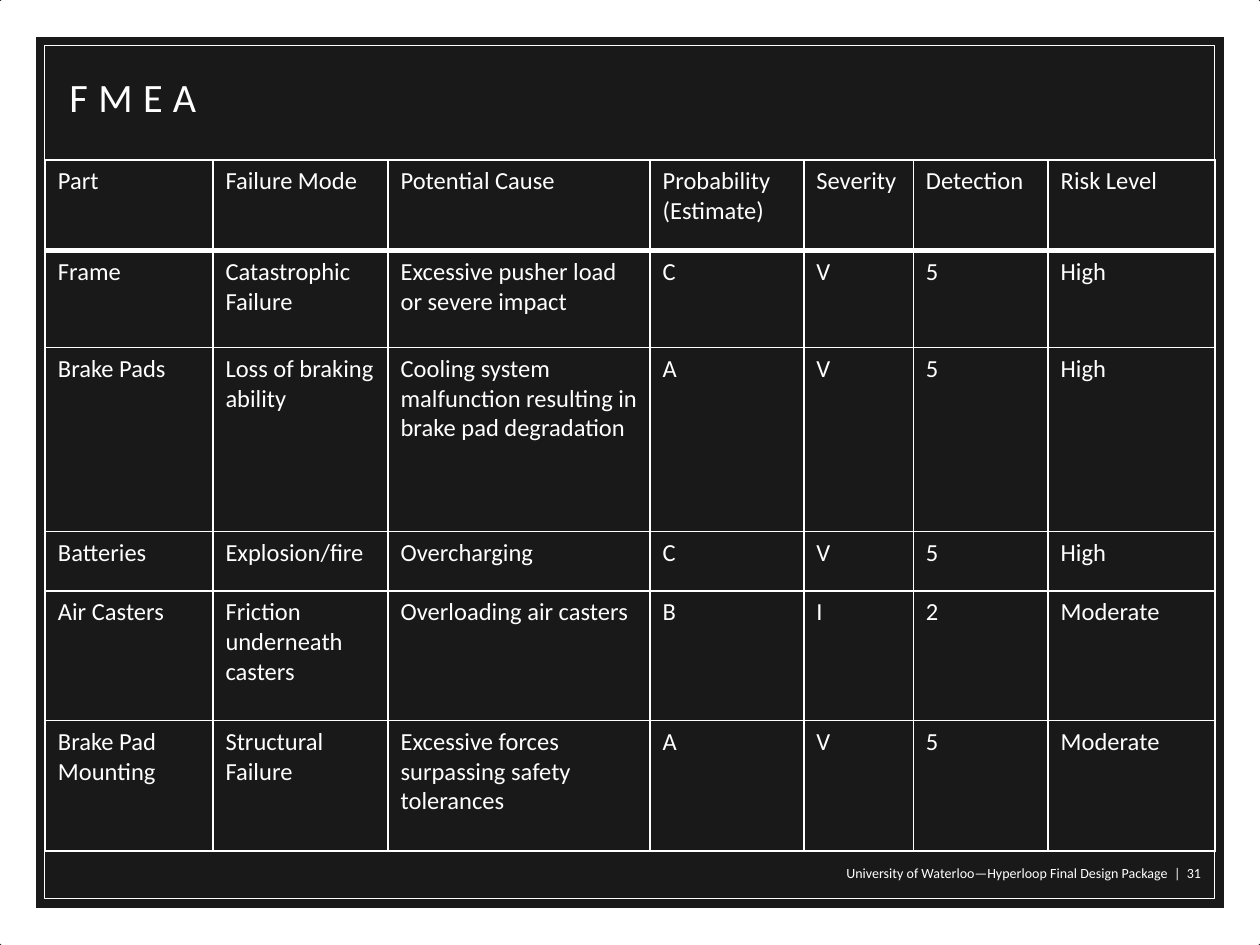
import pptx
import pptx.dml.color
import pptx.enum.shapes
import pptx.enum.text
import pptx.oxml
import pptx.oxml.ns
import pptx.util
from pptx.util import Inches

COLORS = {"background": "191919", "white": "FFFFFF", "shadow": "000000"}
NAMESPACE = pptx.oxml.ns.nsdecls("a")


def rgb(name):
    return pptx.dml.color.RGBColor.from_string(COLORS[name])


def add_text(text_frame, text, size):
    run = text_frame.paragraphs[0].add_run()
    run.text = text
    run.font.size = pptx.util.Pt(size)
    run.font.color.rgb = rgb("white")
    run.font.name = "Calibri"
    return run


presentation = pptx.Presentation()
presentation.slide_width = Inches(10)
presentation.slide_height = Inches(7.5)
slide = presentation.slides.add_slide(presentation.slide_layouts[6])
slide.background.fill.solid()
slide.background.fill.fore_color.rgb = rgb("background")

# Wide outer frame and thin inner frame
for left, top, width, height, weight in (
    (0.12, 0.13, 9.76, 7.24, 24),
    (0.35, 0.36, 9.29, 6.77, 0.5),
):
    frame = slide.shapes.add_shape(
        pptx.enum.shapes.MSO_SHAPE.RECTANGLE,
        Inches(left), Inches(top), Inches(width), Inches(height))
    frame.shadow.inherit = False
    frame.fill.background()
    frame.line.color.rgb = rgb("white")
    frame.line.width = pptx.util.Pt(weight)

# Rules under the title and above the footer
for height in (1.27, 6.76):
    rule = slide.shapes.add_connector(
        pptx.enum.shapes.MSO_CONNECTOR.STRAIGHT,
        Inches(0.35), Inches(height), Inches(9.65), Inches(height))
    rule.line.color.rgb = rgb("white")
    rule.line.width = pptx.util.Pt(0.5)
    rule._element.spPr.append(pptx.oxml.parse_xml(f"<a:effectLst {NAMESPACE}/>"))

# Title and footer
text_runs = {}
for name, text, size, alignment, left, top, width, height in (
    ("title", "FMEA", 23, pptx.enum.text.PP_ALIGN.LEFT, 0.51, 0.53, 8.98, 0.62),
    ("footer", "University of Waterloo—Hyperloop Final Design Package  |  31", 8,
     pptx.enum.text.PP_ALIGN.RIGHT, 2.95, 6.82, 6.63, 0.24),
):
    box = slide.shapes.add_textbox(
        Inches(left), Inches(top), Inches(width), Inches(height))
    text_frame = box.text_frame
    text_frame.word_wrap = True
    text_frame.margin_left = text_frame.margin_right = Inches(0.04)
    text_frame.margin_top = text_frame.margin_bottom = Inches(0.04)
    text_frame.paragraphs[0].alignment = alignment
    text_runs[name] = add_text(text_frame, text, size)

# Title letter spacing and soft shadow
title_properties = text_runs["title"].font._element
title_properties.set("spc", "600")
title_properties.insert(1, pptx.oxml.parse_xml(
    f'<a:effectLst {NAMESPACE}><a:outerShdw blurRad="38100" dist="38100" dir="2700000">'
    f'<a:srgbClr val="{COLORS["shadow"]}"><a:alpha val="43000"/></a:srgbClr>'
    '</a:outerShdw></a:effectLst>'))

# Failure table
column_widths = [1.33, 1.39, 2.08, 1.22, 0.87, 1.07, 1.33]
row_heights = [0.72, 0.77, 1.46, 0.47, 1.03, 1.03]
rows = [
    ["Part", "Failure Mode", "Potential Cause", "Probability (Estimate)",
     "Severity", "Detection", "Risk Level"],
    ["Frame", "Catastrophic Failure", "Excessive pusher load or severe impact",
     "C", "V", "5", "High"],
    ["Brake Pads", "Loss of braking ability",
     "Cooling system malfunction resulting in brake pad degradation",
     "A", "V", "5", "High"],
    ["Batteries", "Explosion/fire", "Overcharging", "C", "V", "5", "High"],
    ["Air Casters", "Friction underneath casters", "Overloading air casters",
     "B", "I", "2", "Moderate"],
    ["Brake Pad Mounting", "Structural Failure",
     "Excessive forces surpassing safety tolerances", "A", "V", "5", "Moderate"],
]
table = slide.shapes.add_table(
    len(rows), len(column_widths), Inches(0.36), Inches(1.27),
    Inches(9.28), Inches(5.47)).table
table.first_row = False
table.horz_banding = False
for column, width in zip(table.columns, column_widths):
    column.width = Inches(width)
for row, height in zip(table.rows, row_heights):
    row.height = Inches(height)

for row_index, texts in enumerate(rows):
    for column_index, text in enumerate(texts):
        cell = table.cell(row_index, column_index)
        cell.fill.background()
        add_text(cell.text_frame, text, 14)
        # Borders go before the fill in the cell properties
        properties = cell._tc.get_or_add_tcPr()
        for position, side in enumerate("LRTB"):
            points = 3 if row_index == 0 and side == "B" else 1
            properties.insert(position, pptx.oxml.parse_xml(
                f'<a:ln{side} {NAMESPACE} w="{pptx.util.Pt(points)}"><a:solidFill>'
                f'<a:srgbClr val="{COLORS["white"]}"/></a:solidFill></a:ln{side}>'))

presentation.save("out.pptx")
